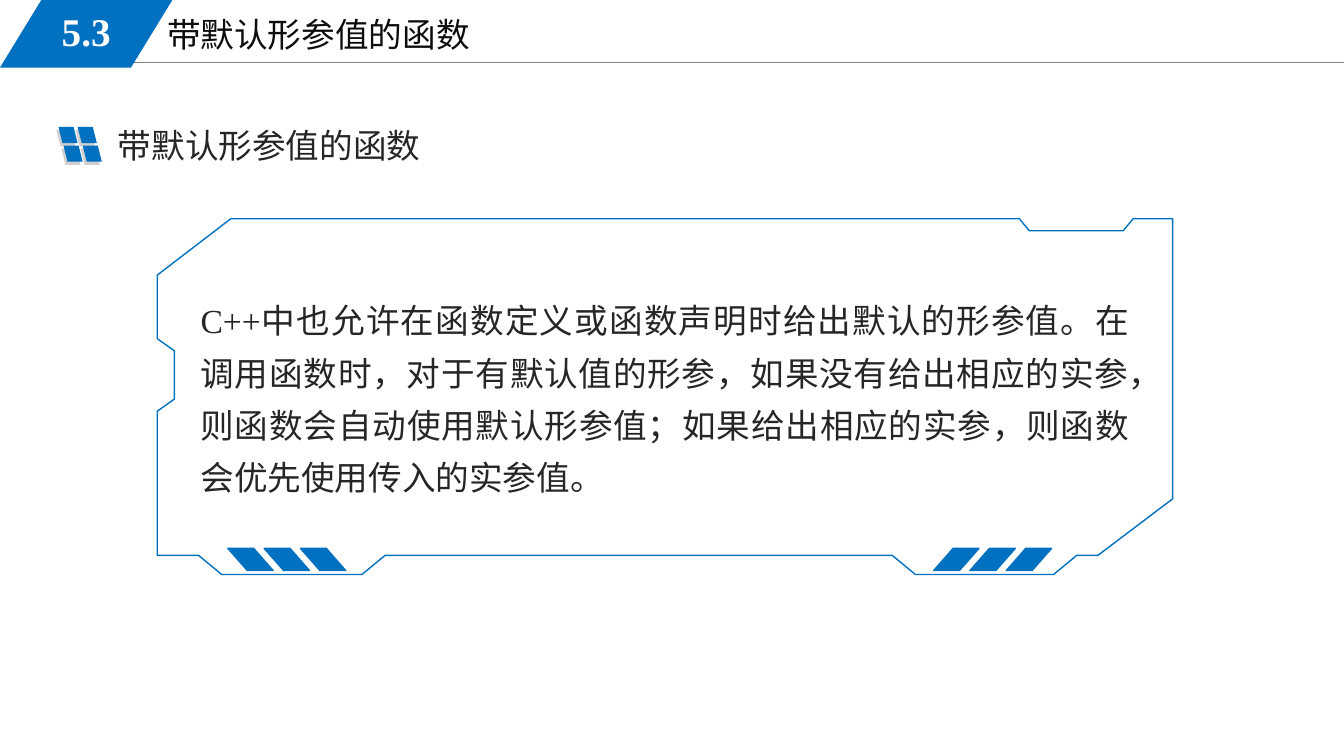
import pptx
import pptx.dml.color
import pptx.enum.shapes
import pptx.enum.text
import pptx.oxml.ns
import pptx.util
from lxml import etree

Inches = pptx.util.Inches
Pt = pptx.util.Pt
ALIGN = pptx.enum.text.PP_ALIGN
ANCHOR = pptx.enum.text.MSO_ANCHOR

COLORS = {
    "blue": "0070C0",
    "shade": "D0CECE",
    "rule": "808080",
    "title": "0D0D0D",
    "body": "262626",
    "white": "FFFFFF",
}

FRAME_POINTS = [
    (7.52, 3.53), (8.89, 3.53), (9.12, 3.34), (9.33, 3.34), (10.07, 2.78),
    (10.07, 0), (9.68, 0), (9.58, 0.12), (8.65, 0.12), (8.55, 0),
    (0.73, 0), (0, 0.56), (0, 1.19), (0.17, 1.31), (0.17, 1.79),
    (0, 1.91), (0, 3.34), (0.41, 3.34), (0.64, 3.53), (2.03, 3.53),
    (2.26, 3.34), (7.29, 3.34),
]


def color(name):
    return pptx.dml.color.RGBColor.from_string(COLORS[name])


def add_text(page, box, text, size=24, ink="body", bold=False,
             align=ALIGN.LEFT, anchor=ANCHOR.TOP, spacing=None):
    frame = page.shapes.add_textbox(*map(Inches, box)).text_frame
    frame.word_wrap = True
    frame.auto_size = pptx.enum.text.MSO_AUTO_SIZE.SHAPE_TO_FIT_TEXT
    frame.vertical_anchor = anchor
    para = frame.paragraphs[0]
    para.alignment = align
    para.line_spacing = spacing
    span = para.add_run()
    span.text = text
    span.font.name = "Times New Roman"
    span.font.size = Pt(size)
    span.font.bold = bold
    span.font.color.rgb = color(ink)


def add_slant(page, box, fill="blue", slant=0.25, flip=False, outline=False):
    kind = pptx.enum.shapes.MSO_SHAPE.PARALLELOGRAM
    shape = page.shapes.add_shape(kind, *map(Inches, box))
    shape.shadow.inherit = False
    shape.adjustments[0] = slant
    shape.fill.solid()
    shape.fill.fore_color.rgb = color(fill)
    if outline:
        shape.line.color.rgb = color(fill)
        shape.line.width = Pt(1)
    else:
        shape.line.fill.background()
    if flip:
        shape.element.spPr.xfrm.set("flipH", "1")


def add_header(page, box, number, title):
    left, top, width, height = box
    rule_top = Inches(top + 0.62)
    rule = page.shapes.add_connector(
        pptx.enum.shapes.MSO_CONNECTOR.STRAIGHT,
        Inches(left + 1.13), rule_top, Inches(left + width), rule_top)
    rule.line.color.rgb = color("rule")
    rule.line.width = Pt(0.75)
    etree.SubElement(rule.element.spPr, pptx.oxml.ns.qn("a:effectLst"))
    add_text(page, (left + 1.56, top + 0.09, 5.67, 0.51), title, ink="title")
    add_slant(page, (left, top, 1.71, height), slant=0.612)
    add_text(page, (left + 0.25, top + 0.02, 1.21, 0.58), number, size=28,
             ink="white", bold=True, align=ALIGN.CENTER, anchor=ANCHOR.MIDDLE)


def add_heading(page, box, text):
    left, top, width, height = box
    for fill, shift_x, shift_y in (("shade", 0, 0.1), ("blue", 0.02, 0.07)):
        for column in range(2):
            for row in range(2):
                tile_left = left + shift_x + 0.19 * column + 0.05 * row
                tile_top = top + shift_y + 0.185 * row
                add_slant(page, (tile_left, tile_top, 0.19, 0.16), fill, flip=True)
    add_text(page, (left + 0.51, top, width - 0.51, height), text)


def add_panel(page, box, text):
    left, top, width, height = box
    points = [(Inches(left + x), Inches(top + y)) for x, y in FRAME_POINTS]
    builder = page.shapes.build_freeform(*points[0])
    builder.add_line_segments(points[1:], close=True)
    outline = builder.convert_to_shape()
    outline.shadow.inherit = False
    outline.fill.background()
    outline.line.color.rgb = color("blue")
    outline.line.width = Pt(1)
    for start, flip in ((7.7, False), (0.7, True)):
        for index in range(3):
            bar = (left + start + 0.36 * index, top + height - 0.26, 0.45, 0.22)
            add_slant(page, bar, slant=0.88, flip=flip, outline=True)
    add_text(page, (left + 0.33, top + 0.64, width - 0.66, 2.2), text,
             align=ALIGN.JUSTIFY, spacing=1.3)


def main():
    deck = pptx.Presentation()
    deck.slide_width = Inches(13.33)
    deck.slide_height = Inches(7.5)
    page = deck.slides.add_slide(deck.slide_layouts[6])
    topic = "带默认形参值的函数"
    add_header(page, (0, 0, 13.33, 0.67), "5.3", topic)
    add_heading(page, (0.56, 1.19, 5.03, 0.5), topic)
    add_panel(page, (1.56, 2.17, 10.07, 3.53),
              "C++中也允许在函数定义或函数声明时给出默认的形参值。"
              "在调用函数时，对于有默认值的形参，如果没有给出相应的实参，"
              "则函数会自动使用默认形参值；如果给出相应的实参，"
              "则函数会优先使用传入的实参值。")
    deck.save("out.pptx")


if __name__ == "__main__":
    main()
